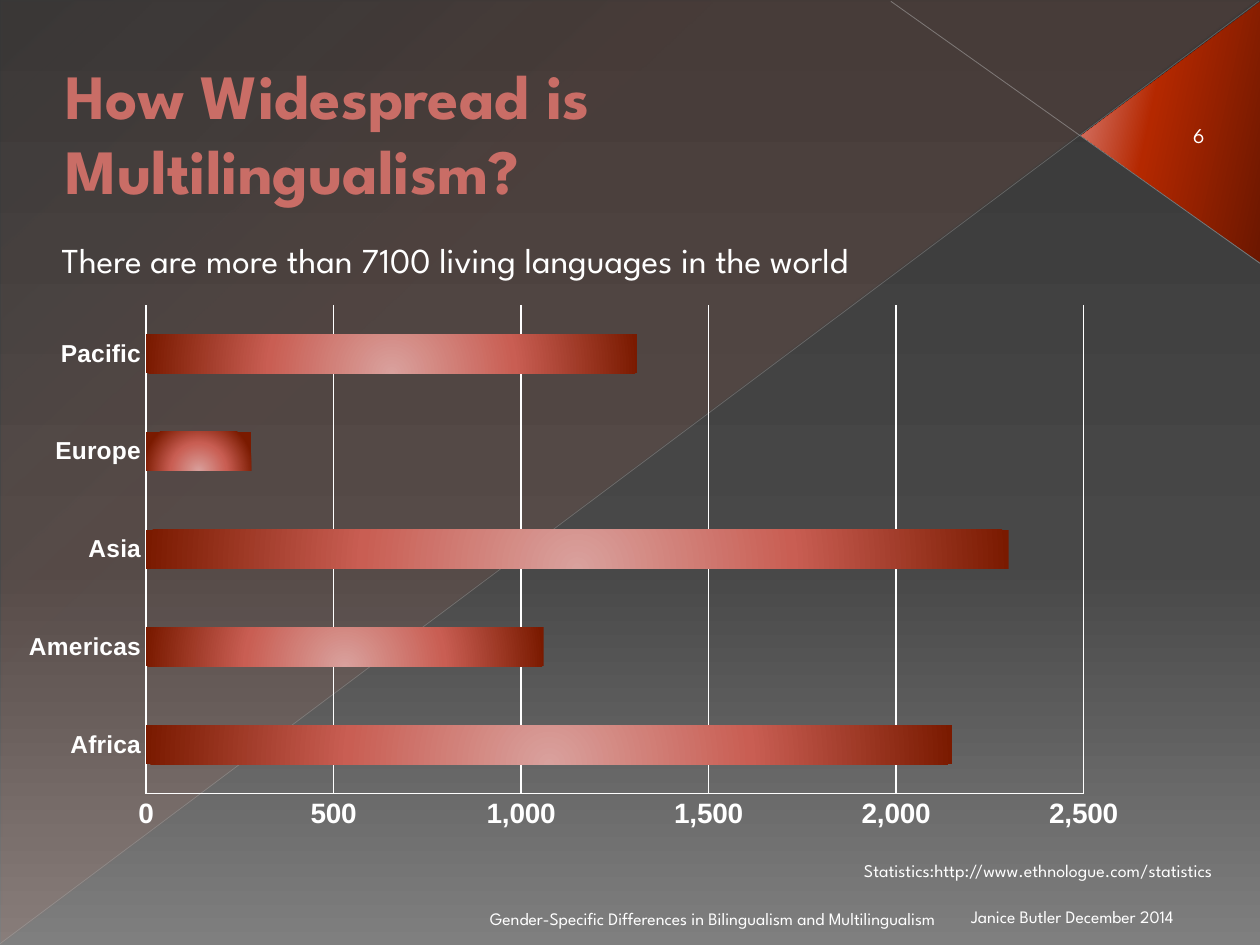
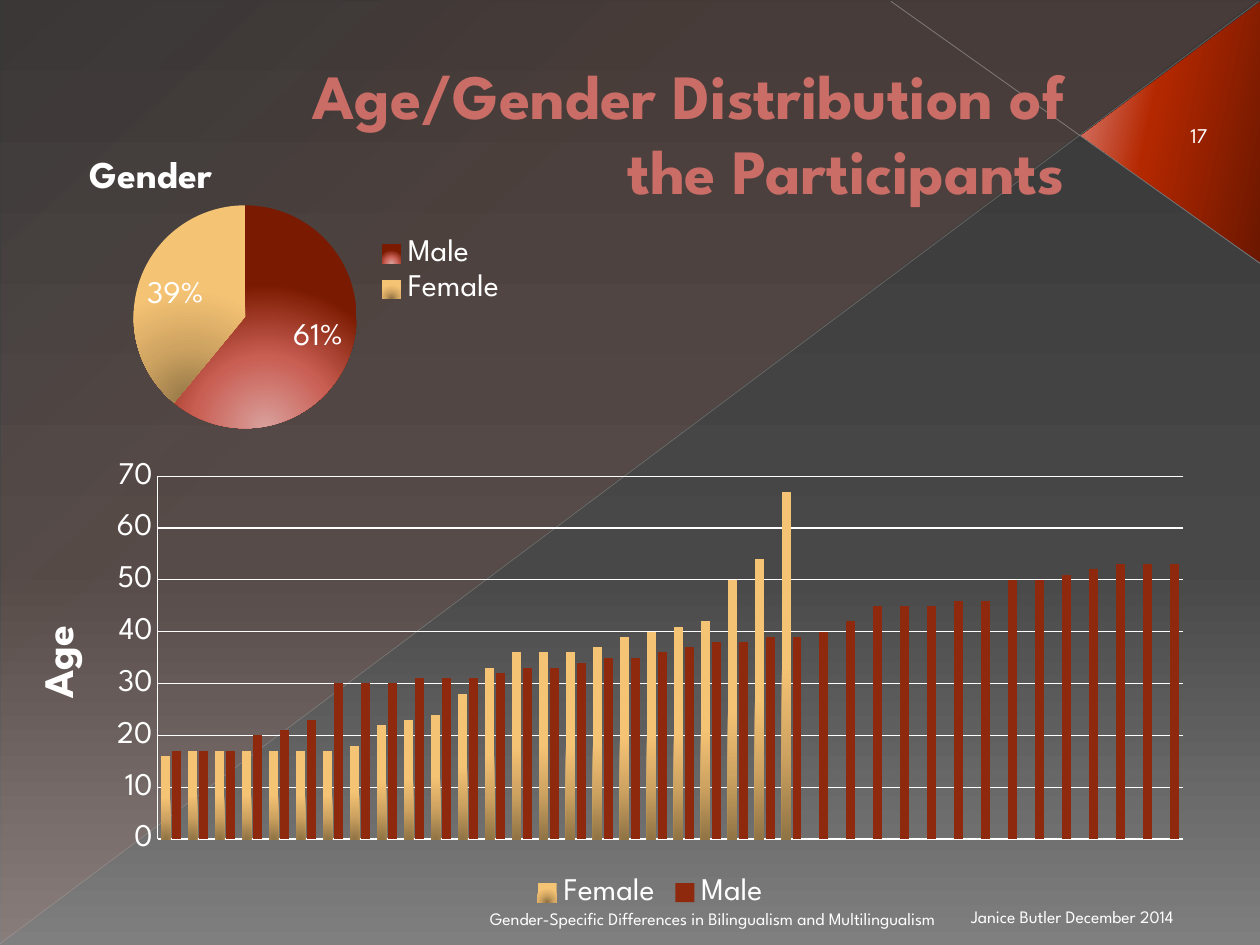
"""Build two slides on multilingualism: languages per region, and the participants' age and gender."""
import pptx
import pptx.chart.data
import pptx.dml.color
import pptx.enum.chart
import pptx.enum.shapes
import pptx.enum.text
import pptx.oxml
import pptx.oxml.ns
import pptx.util

Inches = pptx.util.Inches
qn = pptx.oxml.ns.qn
ChartType = pptx.enum.chart.XL_CHART_TYPE
Legend = pptx.enum.chart.XL_LEGEND_POSITION
Align = pptx.enum.text.PP_ALIGN
Anchor = pptx.enum.text.MSO_ANCHOR
Shape = pptx.enum.shapes.MSO_SHAPE

FONT = "League Spartan"
WHITE = "FFFFFF"
TITLE_COLOUR = "C96D66"
MALE_COLOUR = "8E290D"
BACKDROP = [(0, "373737", 100), (60, "484848", 100), (100, "7F7F7F", 100)]
GLOW = [(0, "EE6D49", 10), (70, "EE6D49", 8), (100, "EE6D49", 1)]
FLAG = [(0, "6B1700", 100), (60, "B42800", 100), (100, "DD8680", 100)]
RED = [(0, "D9A19D", 100), (50, "C95E53", 100), (100, "7A1A00", 100)]
GOLD = [(0, "917445", 100), (50, "CFA462", 100), (100, "F5C374", 100)]
A_SPACE = pptx.oxml.ns.nsdecls("a")


def paint(fill, colour, owner=None, angle=None):
    """Fill with a hex colour, or with stops inside owner; radial when no angle is given."""
    if isinstance(colour, str):
        fill.solid()
        fill.fore_color.rgb = pptx.dml.color.RGBColor.from_string(colour)
        return
    fill.gradient()
    gradient = list(owner.iter(qn("a:gradFill")))[-1]
    stops = "".join(
        f'<a:gs pos="{place * 1000}"><a:srgbClr val="{shade}"><a:alpha val="{alpha * 1000}"/></a:srgbClr></a:gs>'
        for place, shade, alpha in colour)
    if angle is None:
        course = '<a:path path="circle"><a:fillToRect l="50000" t="100000" r="50000"/></a:path>'
    else:
        course = f'<a:lin ang="{angle * 60000}" scaled="0"/>'
    gradient.getparent().replace(gradient, pptx.oxml.parse_xml(
        f'<a:gradFill {A_SPACE} rotWithShape="1"><a:gsLst>{stops}</a:gsLst>{course}</a:gradFill>'))


def write(frame, text, size=10, colour=WHITE, bold=False, align=Align.LEFT):
    """Put one formatted paragraph into a text frame."""
    para = frame.paragraphs[0]
    para.alignment = align
    span = para.add_run()
    span.text = text
    span.font.name = FONT
    span.font.size = pptx.util.Pt(size)
    span.font.bold = bold
    paint(span.font.fill, colour)


deck = pptx.Presentation()
deck.slide_width = Inches(10)
deck.slide_height = Inches(7.5)

slides = [
    dict(title="How Widespread is Multilingualism?", title_at=(0.42, 0.3, 7.92, 1.49),
         align=Align.LEFT, number="6"),
    dict(title="Age/Gender Distribution of the Participants", title_at=(1.67, 0.3, 6.88, 1.49),
         align=Align.RIGHT, number="17"),
]
pages = []
for slide in slides:
    page = deck.slides.add_slide(deck.slide_layouts[5])
    pages.append(page)
    paint(page.background.fill, BACKDROP, page.element, 90)

    for kind, place, turn, stops, angle in [
            (Shape.RIGHT_TRIANGLE, (0.01, 0.01, 9.98, 7.48), 0, GLOW, 133),
            (Shape.ISOSCELES_TRIANGLE, (8.26, 0.34, 2.07, 1.42), 90, FLAG, 258)]:
        triangle = page.shapes.add_shape(kind, *map(Inches, place))
        triangle.shadow.inherit = False
        triangle.rotation = turn
        triangle.element.spPr.find(qn("a:xfrm")).set("flipV", "1")
        triangle.line.fill.background()
        paint(triangle.fill, stops, triangle.element, angle)
    triangle.adjustments[0] = 0.513

    for ends, colour, width, alpha in [
            ((10, 2.09, 7.07, 0.01), "BEBEBE", 0.47, 45),
            ((0, 7.49, 9.99, 0.01), "B5B5B5", 0.39, 35)]:
        ray = page.shapes.add_connector(
            pptx.enum.shapes.MSO_CONNECTOR.STRAIGHT, *map(Inches, ends))
        ray.line.width = pptx.util.Pt(width)
        paint(ray.line.fill, colour)
        shade = next(ray.element.spPr.iter(qn("a:srgbClr")))
        shade.append(pptx.oxml.parse_xml(f'<a:alpha {A_SPACE} val="{alpha * 1000}"/>'))
        ray.element.spPr.append(pptx.oxml.parse_xml(f"<a:effectLst {A_SPACE}/>"))

    title = page.shapes.title
    title.left, title.top, title.width, title.height = map(Inches, slide["title_at"])
    title.text_frame.auto_size = pptx.enum.text.MSO_AUTO_SIZE.NONE
    title.text_frame.vertical_anchor = Anchor.MIDDLE
    write(title.text_frame, slide["title"], 36, TITLE_COLOUR, True, slide["align"])
    next(title.element.iter(qn("a:rPr"))).insert(0, pptx.oxml.parse_xml(
        f'<a:ln {A_SPACE} w="6350"><a:solidFill><a:srgbClr val="72210A"/></a:solidFill></a:ln>'))
    title.element.getparent().append(title.element)

    for text, place, size, align in [
            ("Janice Butler December 2014", (7.61, 7.08, 2.33, 0.33), 10, Align.LEFT),
            ("Gender-Specific Differences in Bilingualism and Multilingualism",
             (2.86, 7.09, 4.66, 0.33), 10, Align.RIGHT),
            (slide["number"], (9.24, 0.89, 0.55, 0.33), 12, Align.CENTER)]:
        box = page.shapes.add_textbox(*map(Inches, place))
        box.text_frame.word_wrap = True
        box.text_frame.vertical_anchor = Anchor.BOTTOM
        write(box.text_frame, text, size, align=align)

languages_page, participants_page = pages
for page, text, place, turn, size, bold, align in [
        (languages_page, "There are more than 7100 living languages in the world",
         (0.39, 1.84, 8.38, 0.66), 0, 20, False, Align.LEFT),
        (languages_page, "Statistics:http://www.ethnologue.com/statistics",
         (5.61, 6.77, 4.11, 0.24), 0, 10.2, False, Align.RIGHT),
        (participants_page, "Age", (-0.06, 4.88, 1.02, 0.5), 270, 24, True, Align.LEFT)]:
    box = page.shapes.add_textbox(*map(Inches, place))
    box.rotation = turn
    box.text_frame.word_wrap = True
    write(box.text_frame, text, size, bold=bold, align=align)

female_ages = [16, 17, 17, 17, 17, 17, 17, 18, 22, 23, 24, 28, 33, 36, 36, 36, 37, 39, 40, 41,
               42, 50, 54, 67]
male_ages = [17, 17, 17, 20, 21, 23, 30, 30, 30, 31, 31, 31, 32, 33, 33, 34, 35, 35, 36, 37,
             38, 38, 39, 39, 40, 42, 45, 45, 45, 46, 46, 50, 50, 51, 52, 53, 53, 53]
female_ages += [None] * (len(male_ages) - len(female_ages))

charts = []
for page, kind, place, plot_at, font, size, legend, categories, series in [
        (languages_page, ChartType.BAR_CLUSTERED, (0.05, 2.33, 9, 4.33), (1.16, 2.42, 7.44, 3.88),
         "Arial", 10, None, ["Africa", "Americas", "Asia", "Europe", "Pacific"],
         {"Series 1": [2150, 1060, 2300, 280, 1310]}),
        (participants_page, ChartType.PIE, (0.45, 0.92, 3.7, 2.63), (1.06, 1.63, 1.77, 1.77),
         FONT, 18, Legend.RIGHT, ["Male", "Female"], {"Series 1": [61, 39]}),
        (participants_page, ChartType.COLUMN_CLUSTERED, (0.75, 3.59, 8.82, 3.66),
         (1.25, 3.78, 8.14, 2.88), FONT, 18, Legend.BOTTOM,
         [str(number + 1) for number in range(len(male_ages))],
         {"Female": female_ages, "Male": male_ages})]:
    data = pptx.chart.data.CategoryChartData()
    data.categories = categories
    for name, values in series.items():
        data.add_series(name, values)
    chart = page.shapes.add_chart(kind, *map(Inches, place), data).chart
    charts.append(chart)
    chart.font.name = font
    chart.font.size = pptx.util.Pt(size)
    paint(chart.font.fill, WHITE)
    chart.has_title = False
    chart.has_legend = legend is not None
    if chart.has_legend:
        chart.legend.position = legend
        chart.legend.include_in_layout = False
    chart.plots[0].vary_by_categories = kind == ChartType.PIE

    spots = [("c:plotArea", 0, plot_at)]
    if kind == ChartType.PIE:
        chart.has_title = True
        write(chart.chart_title.text_frame, "Gender", 21.6, bold=True)
        spots += [("c:title", 1, (0.66, 1.2)), ("c:legend", 1, (2.95, 1.85))]
    else:
        chart.value_axis.has_major_gridlines = True
        paint(chart.value_axis.major_gridlines.format.line.fill, WHITE)
        for axis in (chart.category_axis, chart.value_axis):
            axis.major_tick_mark = axis.minor_tick_mark = pptx.enum.chart.XL_TICK_MARK.NONE
            paint(axis.format.line.fill, WHITE)
    for tag, index, spot in spots:
        part = next(chart.element.iter(qn(tag)))
        for layout in part.findall(qn("c:layout")):
            part.remove(layout)
        left, top, width, height = place
        shares = {"x": (spot[0] - left) / width, "y": (spot[1] - top) / height}
        if len(spot) == 4:
            shares.update(w=spot[2] / width, h=spot[3] / height)
        target = '<c:layoutTarget val="inner"/>' if tag == "c:plotArea" else ""
        modes = '<c:xMode val="edge"/><c:yMode val="edge"/>'
        sizes = "".join(f'<c:{key} val="{share:.4f}"/>' for key, share in shares.items())
        part.insert(index, pptx.oxml.parse_xml(
            f'<c:layout {pptx.oxml.ns.nsdecls("c")}><c:manualLayout>{target}{modes}{sizes}'
            '</c:manualLayout></c:layout>'))

language_chart, gender_chart, age_chart = charts
language_plot = language_chart.plots[0]
language_plot.gap_width = 150
paint(language_plot.series[0].format.fill, RED, language_chart.element)
language_chart.value_axis.minimum_scale = 0
language_chart.value_axis.maximum_scale = 2500
language_chart.value_axis.major_unit = 500
language_chart.value_axis.tick_labels.number_format = "#,##0"
language_chart.value_axis.tick_labels.number_format_is_linked = False
for axis, size in [(language_chart.category_axis, 14), (language_chart.value_axis, 16)]:
    axis.tick_labels.font.name = "Arial"
    axis.tick_labels.font.size = pptx.util.Pt(size)
    axis.tick_labels.font.bold = True
    paint(axis.tick_labels.font.fill, WHITE)

gender_plot = gender_chart.plots[0]
for index, stops in enumerate([RED, GOLD]):
    paint(gender_plot.series[0].points[index].format.fill, stops, gender_chart.element)
gender_plot.has_data_labels = True
labels = gender_plot.data_labels
labels.show_percentage = True
labels.show_value = False
labels.number_format = "0%"
labels.number_format_is_linked = False
labels.position = pptx.enum.chart.XL_LABEL_POSITION.INSIDE_END

age_plot = age_chart.plots[0]
age_plot.gap_width = 82
age_plot.overlap = -18
paint(age_plot.series[0].format.fill, GOLD, age_chart.element)
paint(age_plot.series[1].format.fill, MALE_COLOUR)
age_chart.category_axis.visible = False
age_chart.value_axis.minimum_scale = 0
age_chart.value_axis.maximum_scale = 70
age_chart.value_axis.major_unit = 10

deck.save("out.pptx")
